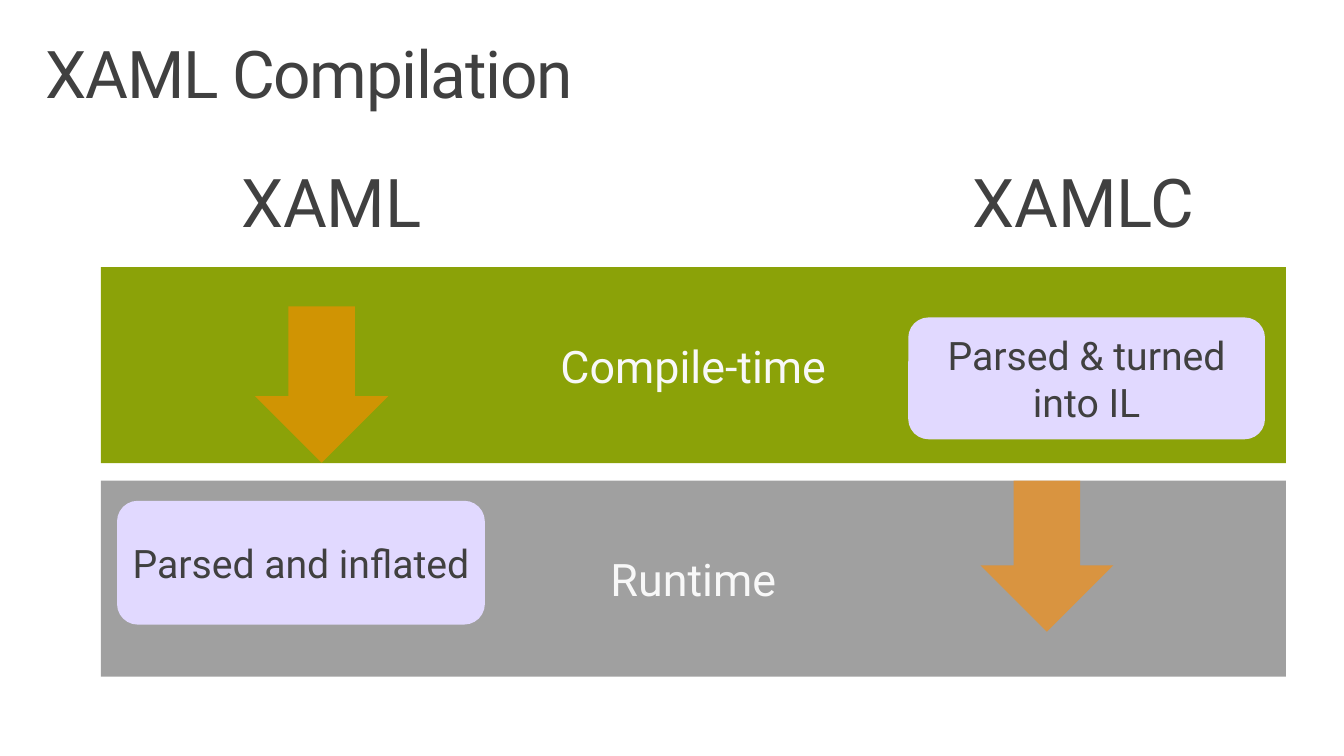
"""Build the XAML Compilation slide comparing XAML and XAMLC."""
from dataclasses import dataclass

from lxml import etree
from pptx import Presentation
from pptx.dml.color import RGBColor
from pptx.enum.shapes import MSO_SHAPE
from pptx.enum.text import MSO_ANCHOR, PP_ALIGN
from pptx.oxml.ns import qn
from pptx.util import Cm, Pt

BAND = MSO_SHAPE.RECTANGLE
STAGE = MSO_SHAPE.ROUNDED_RECTANGLE
ARROW = MSO_SHAPE.DOWN_ARROW
TOP, MIDDLE = MSO_ANCHOR.TOP, MSO_ANCHOR.MIDDLE
LEFT, CENTER = PP_ALIGN.LEFT, PP_ALIGN.CENTER
FONT = "Roboto"
DARK, PALE = "404040", "F8F8F8"
GREEN, GREY, LILAC, ORANGE = "8BA208", "A0A0A0", "E1D9FF", "FF8C00"


@dataclass(frozen=True)
class Block:
    """A filled preset shape, measured in centimetres, with an optional label."""

    kind: MSO_SHAPE
    left: float
    top: float
    width: float
    height: float
    fill: str
    label: str = ""
    size: int = 28
    ink: str = DARK
    opacity: int = 100


@dataclass(frozen=True)
class Heading:
    """A column heading, measured in centimetres."""

    text: str
    left: float
    width: float


BLOCKS = [
    Block(BAND, 2.54, 12.11, 29.87, 4.94, GREY, "Runtime", 32, PALE),
    Block(BAND, 2.54, 6.73, 29.87, 4.94, GREEN, "Compile-time", 32, PALE),
    Block(STAGE, 2.95, 12.62, 9.27, 3.12, LILAC, "Parsed and inflated"),
    Block(STAGE, 22.89, 8, 8.99, 3.07, LILAC, "Parsed & turned into IL"),
    Block(ARROW, 24.71, 12.11, 3.35, 3.81, ORANGE, opacity=60),
    Block(ARROW, 6.43, 7.72, 3.35, 3.94, ORANGE, opacity=60),
]
HEADINGS = [Heading("XAML", 5, 6.71), Heading("XAMLC", 23.29, 8.03)]


def color(code: str) -> RGBColor:
    """Turn a hex string into a colour."""
    return RGBColor.from_string(code)


def write(frame, text: str, size: int, ink: str, align: PP_ALIGN,
          anchor: MSO_ANCHOR, margins: tuple[float, float], spacing: float = 1) -> None:
    """Fill a text frame with one formatted paragraph."""
    frame.word_wrap = True
    frame.vertical_anchor = anchor
    frame.margin_left = frame.margin_right = Cm(margins[0])
    frame.margin_top = frame.margin_bottom = Cm(margins[1])
    paragraph = frame.paragraphs[0]
    paragraph.text = text
    paragraph.alignment = align
    paragraph.line_spacing = spacing
    paragraph.space_before = Pt(0)
    paragraph.font.name = FONT
    paragraph.font.size = Pt(size)
    paragraph.font.color.rgb = color(ink)


def add_title(slide, text: str) -> None:
    """Place the slide title with slightly tightened letters."""
    title = slide.shapes.title
    title.left, title.top, title.width, title.height = Cm(0.74), Cm(0.81), Cm(32.39), Cm(2.49)
    write(title.text_frame, text, 47, DARK, LEFT, TOP, (0.41, 0.25), 0.9)
    for run in title.text_frame.paragraphs[0].runs:
        run.font._element.set("spc", "-100")


def add_heading(slide, heading: Heading) -> None:
    """Draw a column heading."""
    box = slide.shapes.add_textbox(Cm(heading.left), Cm(3.76), Cm(heading.width), Cm(5.11))
    write(box.text_frame, heading.text, 48, DARK, CENTER, TOP, (0.79, 0.51), 0.9)


def add_block(slide, block: Block) -> None:
    """Draw a band, stage or arrow."""
    shape = slide.shapes.add_shape(block.kind, Cm(block.left), Cm(block.top),
                                   Cm(block.width), Cm(block.height))
    shape.shadow.inherit = False
    shape.line.fill.background()
    shape.fill.solid()
    shape.fill.fore_color.rgb = color(block.fill)
    if block.opacity < 100:
        fill_color = shape.element.spPr.find(qn("a:solidFill")).find(qn("a:srgbClr"))
        etree.SubElement(fill_color, qn("a:alpha")).set("val", str(block.opacity * 1000))
    if block.label:
        write(shape.text_frame, block.label, block.size, block.ink, CENTER, MIDDLE, (0, 0.25))


def main() -> None:
    """Build and save the slide."""
    deck = Presentation()
    deck.slide_width, deck.slide_height = Cm(33.87), Cm(19.05)
    slide = deck.slides.add_slide(deck.slide_layouts[5])
    add_title(slide, "XAML Compilation")
    for block in BLOCKS:
        add_block(slide, block)
    for heading in HEADINGS:
        add_heading(slide, heading)
    deck.save("out.pptx")


if __name__ == "__main__":
    main()
